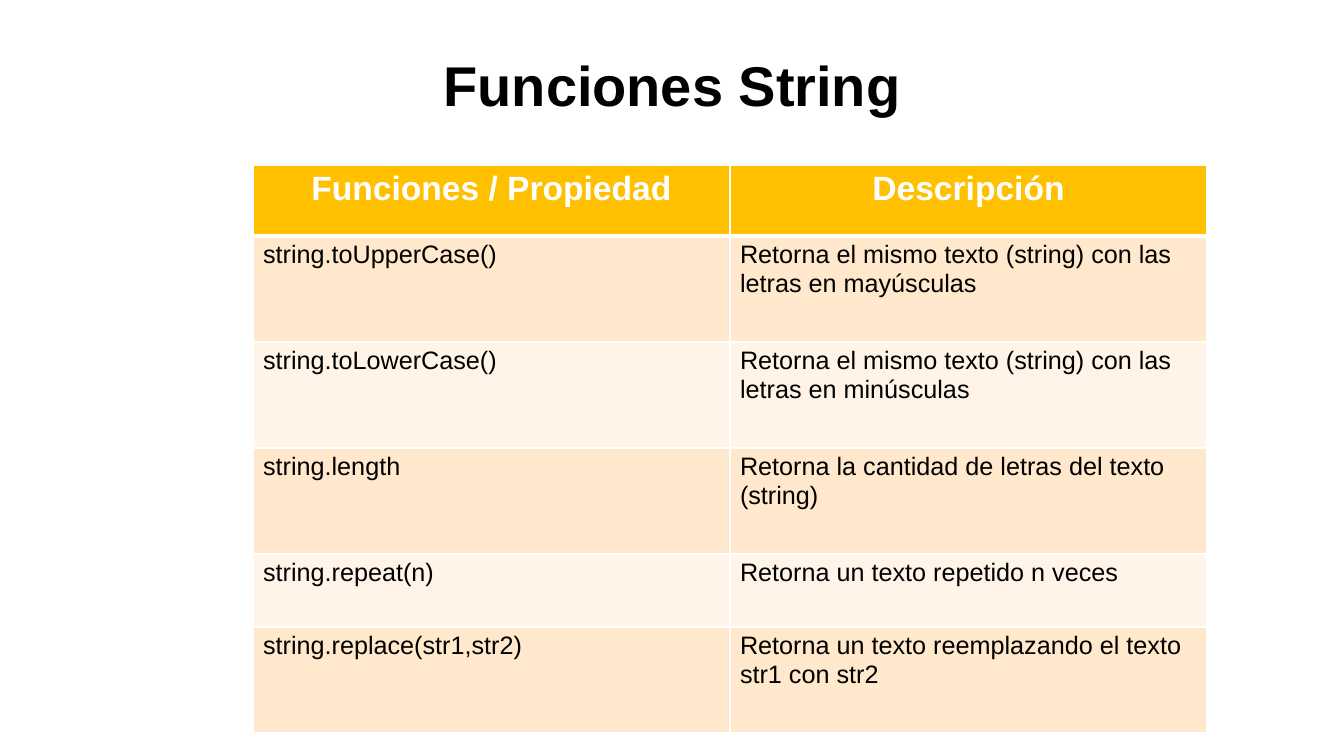
from dataclasses import dataclass

from lxml import etree
from pptx import Presentation
from pptx.dml.color import RGBColor
from pptx.enum.text import MSO_ANCHOR, PP_ALIGN
from pptx.oxml.ns import qn
from pptx.slide import Slide
from pptx.table import _Cell
from pptx.text.text import TextFrame
from pptx.util import Emu, Pt

LEFT, CENTER = PP_ALIGN.LEFT, PP_ALIGN.CENTER
TOP = MSO_ANCHOR.TOP
EMU_PER_PIXEL = 914400 / 100.8
EMU_PER_POINT = 12700


@dataclass(frozen=True)
class Theme:
    font: str = "Arial"
    title_size: int = 40
    header_size: int = 24
    body_size: int = 18
    text: str = "000000"
    white: str = "FFFFFF"
    header_fill: str = "FFC000"
    bands: tuple[str, str] = ("FFE8CC", "FFF4E7")
    thin: int = 1
    thick: int = 3


@dataclass(frozen=True)
class TextStyle:
    size: int
    color: str
    bold: bool
    align: PP_ALIGN


@dataclass(frozen=True)
class FunctionRow:
    function: str
    description: str
    height: int


THEME = Theme()
TITLE_STYLE = TextStyle(THEME.title_size, THEME.text, True, CENTER)
HEADER_STYLE = TextStyle(THEME.header_size, THEME.white, True, CENTER)
BODY_STYLE = TextStyle(THEME.body_size, THEME.text, False, LEFT)

SLIDE_WIDTH, SLIDE_HEIGHT = 1344, 756
TABLE_LEFT, TABLE_TOP, COLUMN_WIDTH = 253, 165, 477
FUNCTION_ROWS = [
    FunctionRow("Funciones / Propiedad", "Descripción", 71),
    FunctionRow("string.toUpperCase()",
                "Retorna el mismo texto (string) con las letras en mayúsculas", 106),
    FunctionRow("string.toLowerCase()",
                "Retorna el mismo texto (string) con las letras en minúsculas", 106),
    FunctionRow("string.length",
                "Retorna la cantidad de letras del texto (string)", 106),
    FunctionRow("string.repeat(n)", "Retorna un texto repetido n veces", 73),
    FunctionRow("string.replace(str1,str2)",
                "Retorna un texto reemplazando el texto str1 con str2", 106),
]


def px(pixels: int) -> Emu:
    return Emu(round(pixels * EMU_PER_PIXEL))


def write(frame: TextFrame, text: str, style: TextStyle) -> None:
    frame.word_wrap = True
    paragraph = frame.paragraphs[0]
    paragraph.text = text
    paragraph.alignment = style.align
    font = paragraph.font
    font.name = THEME.font
    font.size = Pt(style.size)
    font.bold = style.bold
    font.color.rgb = RGBColor.from_string(style.color)


def add_borders(cell: _Cell, top: int, bottom: int) -> None:
    properties = cell._tc.get_or_add_tcPr()
    widths = {"a:lnL": THEME.thin, "a:lnR": THEME.thin, "a:lnT": top, "a:lnB": bottom}
    for side, width in widths.items():
        line = etree.SubElement(properties, qn(side), w=str(width * EMU_PER_POINT))
        fill = etree.SubElement(line, qn("a:solidFill"))
        etree.SubElement(fill, qn("a:srgbClr"), val=THEME.white)


def add_title(slide: Slide, text: str) -> None:
    title = slide.shapes.add_textbox(px(0), px(46), px(SLIDE_WIDTH), px(78))
    write(title.text_frame, text, TITLE_STYLE)


def add_function_table(slide: Slide, rows: list[FunctionRow]) -> None:
    frame = slide.shapes.add_table(
        len(rows), 2, px(TABLE_LEFT), px(TABLE_TOP),
        px(2 * COLUMN_WIDTH), px(sum(row.height for row in rows)))
    table = frame.table
    for column in table.columns:
        column.width = px(COLUMN_WIDTH)
    for index, row in enumerate(rows):
        table.rows[index].height = px(row.height)
        is_header = index == 0
        style = HEADER_STYLE if is_header else BODY_STYLE
        fill = THEME.header_fill if is_header else THEME.bands[(index - 1) % 2]
        # The thick rule lies between the header and the first function
        top = THEME.thick if index == 1 else THEME.thin
        bottom = THEME.thick if is_header else THEME.thin
        for cell, text in zip(table.rows[index].cells, (row.function, row.description)):
            write(cell.text_frame, text, style)
            cell.vertical_anchor = TOP
            add_borders(cell, top, bottom)
            cell.fill.solid()
            cell.fill.fore_color.rgb = RGBColor.from_string(fill)


# Slide
presentation = Presentation()
presentation.slide_width = px(SLIDE_WIDTH)
presentation.slide_height = px(SLIDE_HEIGHT)
functions_slide = presentation.slides.add_slide(presentation.slide_layouts[6])

# Title and table of functions
add_title(functions_slide, "Funciones String")
add_function_table(functions_slide, FUNCTION_ROWS)

presentation.save("out.pptx")
